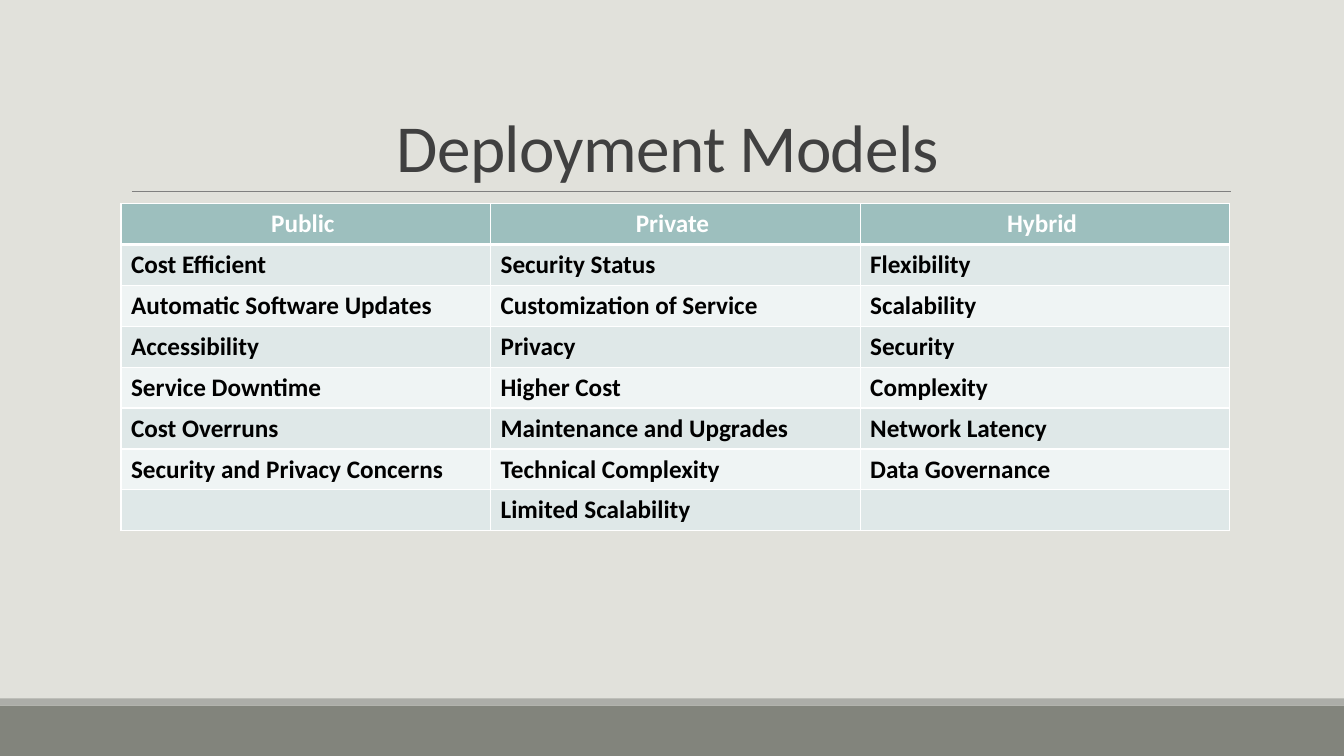
from pptx import Presentation
from pptx.util import Pt
from pptx.dml.color import RGBColor
from pptx.enum.shapes import MSO_CONNECTOR, MSO_SHAPE
from pptx.enum.text import MSO_ANCHOR, MSO_AUTO_SIZE, PP_ALIGN
from lxml.etree import SubElement
from pptx.oxml.ns import qn

HUES = {
    "back": "E1E1DB", "band": "82847C", "strip": "ACADA8", "rule": "808080",
    "title": "404040", "head": "9DBFBE", "odd": "DFE8E8", "even": "EFF4F4",
    "white": "FFFFFF", "black": "000000",
}
ROWS = [
    ("Public ", "Private ", "Hybrid "),
    ("Cost Efficient", "Security Status", "Flexibility"),
    ("Automatic Software Updates", "Customization of Service", "Scalability"),
    ("Accessibility", "Privacy", "Security"),
    ("Service Downtime", "Higher Cost", "Complexity"),
    ("Cost Overruns", "Maintenance and Upgrades", "Network Latency"),
    ("Security and Privacy Concerns", "Technical Complexity", "Data Governance"),
    ("", "Limited Scalability", ""),
]


def hue(name):
    return RGBColor.from_string(HUES[name])


def add_run(para, text, size, color, bold=False):
    run = para.add_run()
    run.text = text
    run.font.name = "Calibri"
    run.font.size = Pt(size)
    run.font.bold = bold
    run.font.color.rgb = hue(color)
    return run


deck = Presentation()
deck.slide_width, deck.slide_height = Pt(960), Pt(540)
slide = deck.slides.add_slide(deck.slide_layouts[5])
slide.background.fill.solid()
slide.background.fill.fore_color.rgb = hue("back")

# Footer bands
for top, height, color in ((504, 36, "band"), (498.8, 5.2, "strip")):
    bar = slide.shapes.add_shape(MSO_SHAPE.RECTANGLE, 0, Pt(top), Pt(960), Pt(height))
    bar.shadow.inherit = False
    bar.fill.solid()
    bar.fill.fore_color.rgb = hue(color)
    bar.line.fill.background()

# Rule under the title
rule = slide.shapes.add_connector(
    MSO_CONNECTOR.STRAIGHT, Pt(94.2), Pt(136.8), Pt(879), Pt(136.8))
rule.line.color.rgb = hue("rule")
rule.line.width = Pt(0.5)
SubElement(rule._element.spPr, qn("a:effectLst"))

# Title
title = slide.shapes.title
title.left, title.top, title.width, title.height = Pt(86.4), Pt(22.5), Pt(792), Pt(114.2)
frame = title.text_frame
frame.word_wrap = True
frame.auto_size = MSO_AUTO_SIZE.NONE
frame.vertical_anchor = MSO_ANCHOR.BOTTOM
para = frame.paragraphs[0]
para.alignment = PP_ALIGN.CENTER
para.line_spacing = 0.85
run = add_run(para, "Deployment Models ", 48, "title")
run.font._element.set("spc", "-50")

# Table of models
table = slide.shapes.add_table(
    len(ROWS), 3, Pt(86.4), Pt(145.5), Pt(792), Pt(29.2 * len(ROWS))).table
for col in table.columns:
    col.width = Pt(264)
for r, texts in enumerate(ROWS):
    table.rows[r].height = Pt(29.2)
    for c, text in enumerate(texts):
        cell = table.cell(r, c)
        # Borders, heavier under the header and so on top of the first row
        props = cell._tc.get_or_add_tcPr()
        for side in "LRTB":
            heavy = (r, side) in ((0, "B"), (1, "T"))
            edge = SubElement(props, qn(f"a:ln{side}"), w=str(Pt(3 if heavy else 1)))
            fill = SubElement(edge, qn("a:solidFill"))
            SubElement(fill, qn("a:srgbClr"), val=HUES["white"])
        cell.fill.solid()
        cell.fill.fore_color.rgb = hue("head" if r == 0 else "odd" if r % 2 else "even")
        para = cell.text_frame.paragraphs[0]
        para.font.size = Pt(18)
        para.alignment = PP_ALIGN.LEFT if r else PP_ALIGN.CENTER
        if text:
            add_run(para, text, 18, "black" if r else "white", True)

deck.save("out.pptx")
